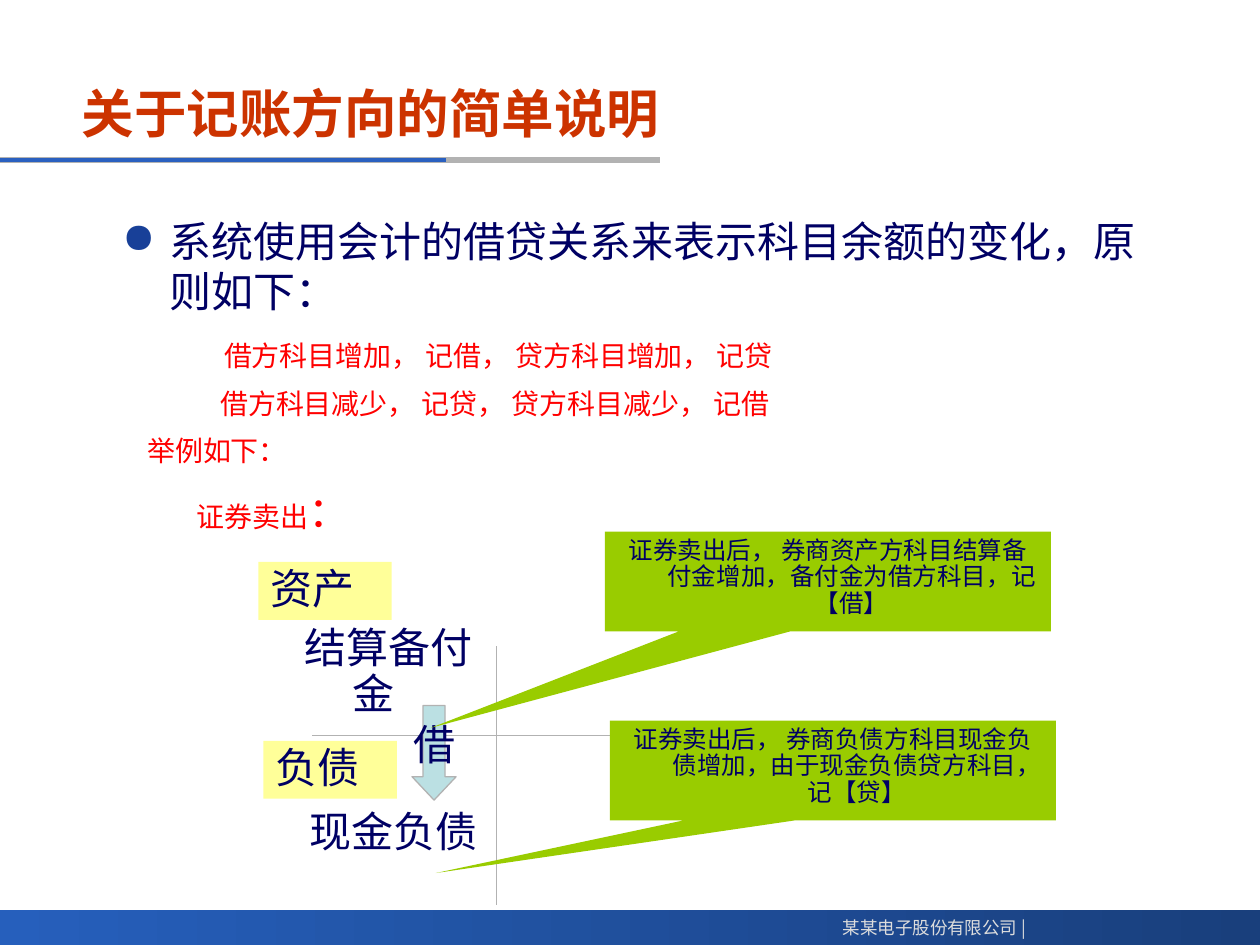
from lxml.etree import SubElement as Sub
from pptx import Presentation
from pptx.dml.color import RGBColor
from pptx.enum.shapes import MSO_CONNECTOR as Conn, MSO_SHAPE as Kind
from pptx.enum.text import MSO_ANCHOR as Anchor, PP_ALIGN as Align
from pptx.oxml.ns import qn
from pptx.util import Emu, Pt

SCALE = 9144  # 100 px to the inch


def px(n):
    return Emu(n * SCALE)


def rgb(code):
    return RGBColor.from_string(code)


def write(frame, *runs, size=24, color="000064", font="Arial", bold=False,
          align=Align.LEFT, left=0, hang=0, before=0, after=0, line=1.0,
          bullet=None, first=True):
    """Add one paragraph; a run is a text or a (text, size) pair."""
    para = frame.paragraphs[0] if first else frame.add_paragraph()
    props = para._p.get_or_add_pPr()
    props.set("marL", str(px(left)))
    props.set("indent", str(px(-hang)))
    para.alignment, para.line_spacing = align, line
    para.space_before, para.space_after = Pt(before), Pt(after)
    if bullet:
        tint = Sub(props, qn("a:buClr"))
        Sub(tint, qn("a:srgbClr")).set("val", "184098")
        Sub(props, qn("a:buChar")).set("char", bullet)
    else:
        Sub(props, qn("a:buNone"))
    for item in runs:
        text, pts = item if isinstance(item, tuple) else (item, size)
        run = para.add_run()
        run.text = text
        face = run.font
        face.name, face.size, face.bold = font, Pt(pts), bold
        face.color.rgb = rgb(color)


class Deck:
    grey, blue, red = "B2B2B2", "2A60C0", "FF0000"
    yellow, green, teal = "FFFF99", "99CC00", "BBE0E3"
    label = dict(left=38, hang=38, line=0.9, after=6)

    def __init__(self):
        self.prs = Presentation()
        self.prs.slide_width, self.prs.slide_height = px(1000), px(750)
        self.slide = self.prs.slides.add_slide(self.prs.slide_layouts[6])

    def line(self, x1, y1, x2, y2, color, width):
        rule = self.slide.shapes.add_connector(
            Conn.STRAIGHT, px(x1), px(y1), px(x2), px(y2))
        rule.line.color.rgb, rule.line.width = rgb(color), Pt(width)
        Sub(rule._element.spPr, qn("a:effectLst"))

    def text(self, x, y, w, h, wrap=True, anchor=Anchor.TOP):
        frame = self.slide.shapes.add_textbox(px(x), px(y), px(w), px(h)).text_frame
        frame.word_wrap, frame.vertical_anchor = wrap, anchor
        return frame

    def shape(self, kind, x, y, w, h, fill, edge=None, adj=()):
        form = self.slide.shapes.add_shape(kind, px(x), px(y), px(w), px(h))
        form.shadow.inherit = False
        form.fill.solid()
        form.fill.fore_color.rgb = rgb(fill)
        if edge:
            form.line.color.rgb, form.line.width = rgb(edge), Pt(0.75)
        else:
            form.line.fill.background()
        for i, value in enumerate(adj):
            form.adjustments[i] = value
        form.text_frame.word_wrap = True
        form.text_frame.vertical_anchor = Anchor.TOP
        return form

    def band(self, x, y, w, h, *colors):
        fill = self.shape(Kind.RECTANGLE, x, y, w, h, colors[0]).fill
        fill.gradient()
        fill.gradient_angle = 180
        for i, (stop, color) in enumerate(zip(fill.gradient_stops, colors)):
            stop.color.rgb, stop.position = rgb(color), i

    def call(self, x, y, adj, words):
        box = self.shape(Kind.RECTANGULAR_CALLOUT, x, y, 354, 79, self.green, adj=adj)
        write(box.text_frame, words, size=14, align=Align.CENTER,
              **{**self.label, "after": 3.5})


def main():
    deck = Deck()

    # Footer band and heading rule
    deck.band(0, 722, 1000, 28, "193F7C", "265FBC")
    deck.line(0, 127, 524, 127, deck.grey, 3)
    deck.line(0, 127, 354, 127, deck.blue, 2.25)
    write(deck.text(653, 723, 171, 27, wrap=False), "某某电子股份有限公司 |",
          size=10, font="Noto Sans CJK SC", color="DDDDDD", align=Align.RIGHT)

    # Title
    write(deck.text(55, 56, 692, 67, anchor=Anchor.MIDDLE),
          "关于记账方向的简单说明", size=30, color="CC3300", bold=True)

    # Rules of entry
    body = deck.text(87, 166, 831, 520)
    write(body, "系统使用会计的借贷关系来表示科目余额的变化，原则如下：",
          left=38, hang=38, after=6, bullet="●")
    for left, before, after, runs in (
            (81, 7, 4, ["借方科目增加， 记借， 贷方科目增加， 记贷"]),
            (78, 4, 4, ["借方科目减少， 记贷， 贷方科目减少， 记借"]),
            (20, 4, 4, ["举例如下："]),
            (59, 6, 6, ["证券卖出", ("：", 24)])):
        write(body, *runs, size=16, color=deck.red, left=left,
              before=before, after=after, first=False)

    # Account cross
    deck.line(248, 584, 551, 584, deck.grey, 0.75)
    deck.line(394, 513, 394, 718, deck.grey, 0.75)

    # Account groups and their accounts
    for x, y, words in ((205, 446, "资产"), (209, 588, "负债")):
        tag = deck.shape(Kind.RECTANGLE, x, y, 106, 46, deck.yellow)
        write(tag.text_frame, words, **deck.label)
    for x, y, h, words in ((236, 639, 46, "现金负债"), (232, 493, 82, "结算备付金")):
        write(deck.text(x, y, 161, h), words, **deck.label)

    # Debit arrow
    arrow = deck.shape(Kind.DOWN_ARROW, 327, 560, 35, 75, deck.teal,
                       edge=deck.grey, adj=(0.5, 0.53)).text_frame
    arrow.word_wrap, arrow.vertical_anchor = False, Anchor.MIDDLE
    write(arrow, "借", align=Align.CENTER, **deck.label)

    # Callouts
    deck.call(484, 572, (-0.89, 1.03),
              "证券卖出后， 券商负债方科目现金负债增加，由于现金负债贷方科目，记【贷】")
    deck.call(480, 422, (-0.89, 1.47),
              "证券卖出后， 券商资产方科目结算备付金增加，备付金为借方科目，记【借】")

    deck.prs.save("out.pptx")


if __name__ == "__main__":
    main()
